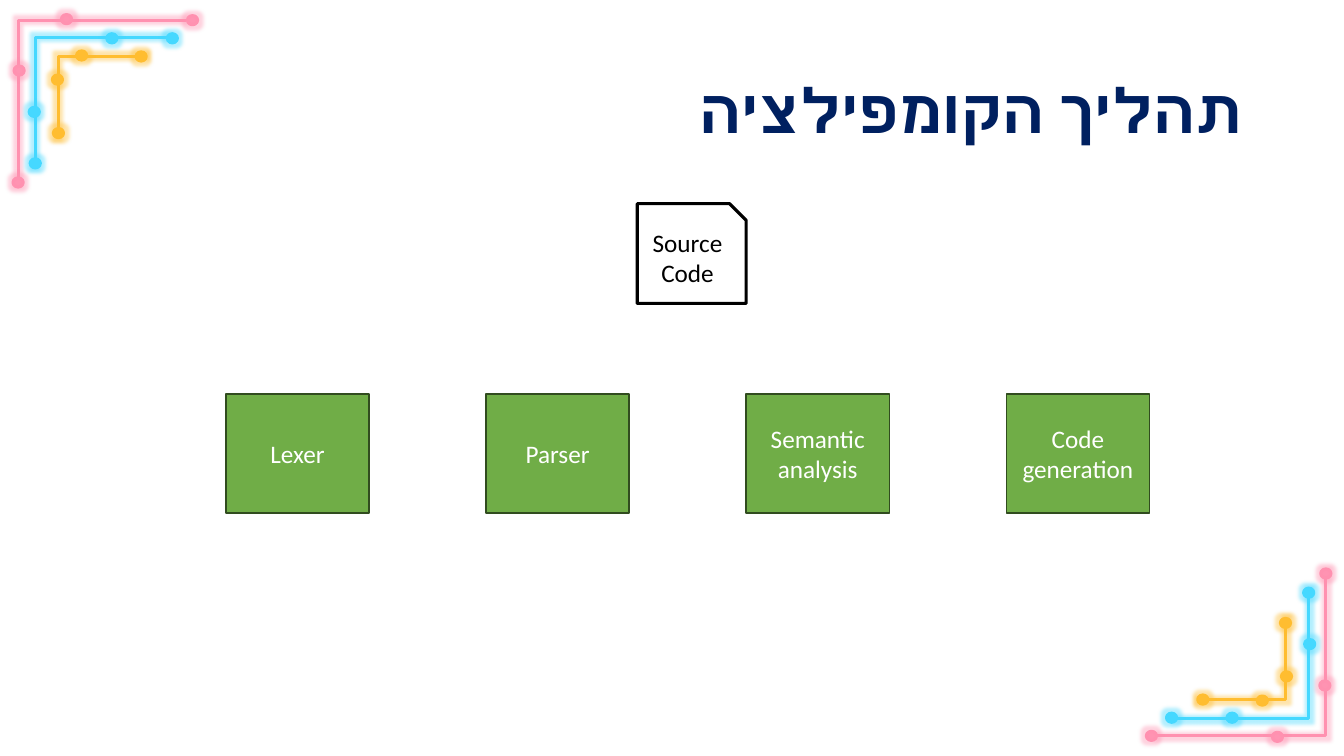
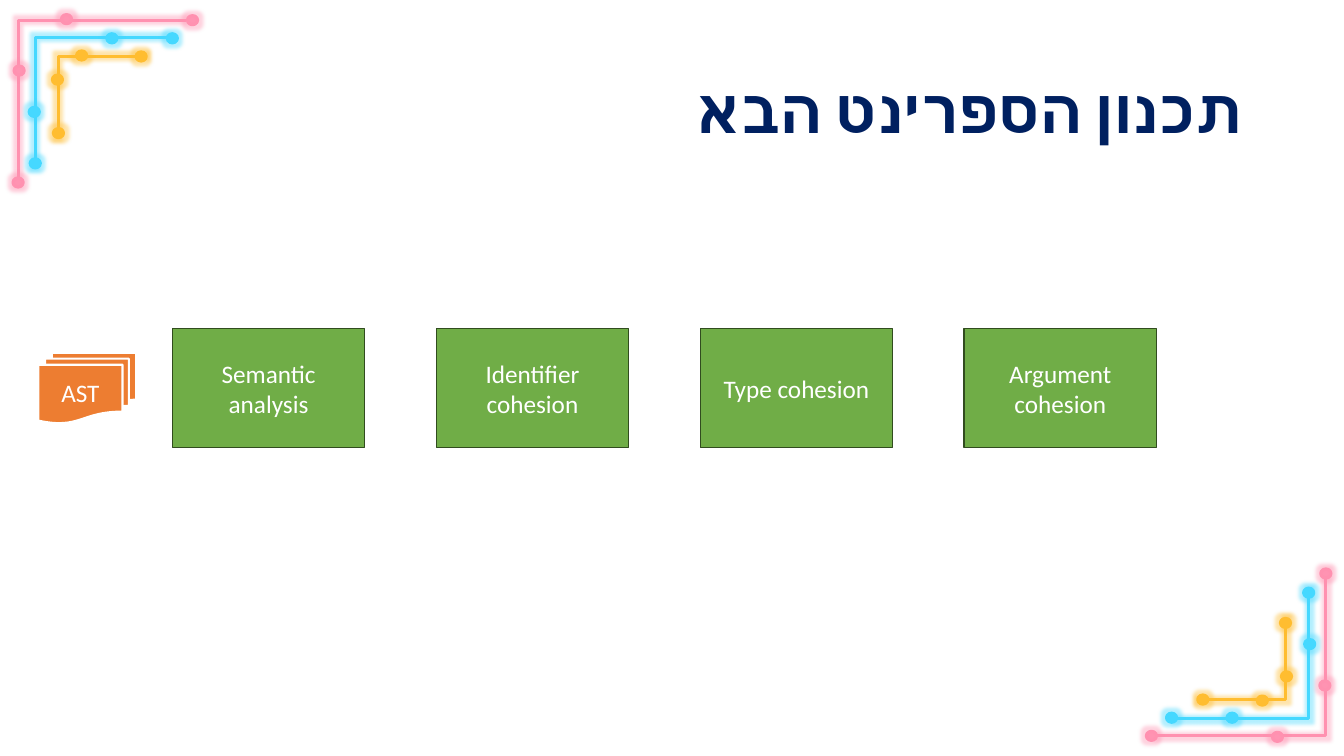
from lxml import etree
from pptx import Presentation
from pptx import util as u
from pptx.dml.color import RGBColor
from pptx.enum import shapes, text
from pptx.oxml.ns import qn

WIDTH, HEIGHT = 13.33, 7.5

NAVY = RGBColor(0x00, 0x20, 0x60)
BLACK = RGBColor(0x00, 0x00, 0x00)
WHITE = RGBColor(0xFF, 0xFF, 0xFF)
GREEN = RGBColor(0x70, 0xAD, 0x47)
DARK_GREEN = RGBColor(0x31, 0x4C, 0x1F)
ORANGE = RGBColor(0xED, 0x7D, 0x31)
SKY = RGBColor(0x45, 0xD8, 0xFF)
PINK = RGBColor(0xFF, 0x91, 0xB0)
PINK_DOT = RGBColor(0xFF, 0x93, 0xB2)
AMBER = RGBColor(0xFF, 0xBD, 0x30)

TITLE_FONT, BODY_FONT = "Cabin", "Calibri"
TITLE_BOX = (0.92, 0.4, 11.5, 1.45)
DOT_WIDTH, DOT_HEIGHT = 0.1, 0.09

# Corner strands as distances from the slide corner:
# line colour, dot colour, bend, reach across, reach down, dot centres
STRANDS = [
    (SKY, SKY, (0.35, 0.37), 1.68, 1.66,
     [(0.35, 1.62), (1.71, 0.38), (0.34, 1.11), (1.11, 0.38)]),
    (PINK, PINK_DOT, (0.18, 0.2), 1.85, 1.83,
     [(0.18, 1.81), (1.91, 0.2), (0.66, 0.19), (0.19, 0.7)]),
    (AMBER, AMBER, (0.58, 0.56), 1.45, 1.37,
     [(0.58, 1.32), (0.57, 0.79), (1.4, 0.56), (0.81, 0.55)]),
]


def inches(*lengths):
    return [u.Inches(length) for length in lengths]


def paint(shape, fill, line, weight):
    shape.shadow.inherit = False
    if fill is None:
        shape.fill.background()
    else:
        shape.fill.solid()
        shape.fill.fore_color.rgb = fill
    shape.line.color.rgb = line
    shape.line.width = u.Pt(weight)


def add_glow(shape, color):
    effects = shape.element.spPr.find(qn("a:effectLst"))
    glow = etree.SubElement(effects, qn("a:glow"), rad="63500")
    tint = etree.SubElement(glow, qn("a:srgbClr"), val=str(color))
    etree.SubElement(tint, qn("a:alpha"), val="40000")


def write(shape, words, font, size, color, align, bold=False):
    """Fill a shape with one right-to-left paragraph."""
    frame = shape.text_frame
    frame.word_wrap = True
    frame.vertical_anchor = text.MSO_ANCHOR.MIDDLE
    frame.text = words
    para = frame.paragraphs[0]
    para.alignment = align
    para._p.get_or_add_pPr().set("rtl", "1")
    span = para.runs[0]
    span.font.name = font
    span.font.size = u.Pt(size)
    span.font.bold = bold
    span.font.color.rgb = color
    etree.SubElement(span._r.get_or_add_rPr(), qn("a:cs"), typeface=font)
    return para


def add_node(page, kind, box, words, fill, line, weight, color=WHITE):
    node = page.shapes.add_shape(kind, *inches(*box))
    paint(node, fill, line, weight)
    write(node, words, BODY_FONT, 18, color, text.PP_ALIGN.CENTER)


def add_corner(page, place):
    """Draw glowing strands; place maps corner distances to the slide."""
    for color, _, (x, y), across, down, _ in STRANDS:
        start, bend, end = (inches(*place(*point))
                            for point in ((x, down), (x, y), (across, y)))
        builder = page.shapes.build_freeform(*start)
        builder.add_line_segments([bend, end], close=False)
        strand = builder.convert_to_shape()
        paint(strand, None, color, 2.25)
        add_glow(strand, color)
    for color, dot_color, _, _, _, centres in STRANDS:
        for centre in centres:
            x, y = place(*centre)
            dot = page.shapes.add_shape(
                shapes.MSO_SHAPE.OVAL,
                *inches(x - DOT_WIDTH / 2, y - DOT_HEIGHT / 2, DOT_WIDTH, DOT_HEIGHT))
            paint(dot, dot_color, color, 2.25)
            add_glow(dot, color)


def add_title(page, words):
    title = page.shapes.add_textbox(*inches(*TITLE_BOX))
    para = write(title, words, TITLE_FONT, 44, NAVY, text.PP_ALIGN.RIGHT, bold=True)
    para.line_spacing = 0.9


def add_steps(page, box, gap, labels):
    """Spread equal green boxes across the given box."""
    left, top, width, height = box
    step = (width + gap) / len(labels)
    for index, label in enumerate(labels):
        add_node(page, shapes.MSO_SHAPE.RECTANGLE,
                 (left + index * step, top, step - gap, height),
                 label, GREEN, DARK_GREEN, 1)


def add_page(deck, title):
    page = deck.slides.add_slide(deck.slide_layouts[6])
    add_corner(page, lambda x, y: (WIDTH - x, HEIGHT - y))
    add_corner(page, lambda x, y: (x, y))
    add_title(page, title)
    return page


def main():
    deck = Presentation()
    deck.slide_width, deck.slide_height = inches(WIDTH, HEIGHT)

    # Compilation process
    page = add_page(deck, "תהליך הקומפילציה")
    add_node(page, shapes.MSO_SHAPE.SNIP_1_RECTANGLE, (6.32, 2.02, 1.08, 0.99),
             "Source Code", WHITE, BLACK, 2.25, BLACK)
    add_steps(page, (2.24, 3.91, 9.16, 1.18), 1.16,
              ["Lexer", "Parser", "Semantic analysis", "Code generation"])

    # Next sprint
    page = add_page(deck, "תכנון הספרינט הבא")
    add_node(page, shapes.MSO_SHAPE.FLOWCHART_MULTIDOCUMENT, (0.38, 3.5, 0.97, 0.7),
             "AST", ORANGE, WHITE, 1.5)
    add_steps(page, (1.71, 3.26, 9.76, 1.18), 0.71,
              ["Semantic analysis", "Identifier cohesion",
               "Type cohesion", "Argument cohesion"])

    deck.save("out.pptx")


if __name__ == "__main__":
    main()
